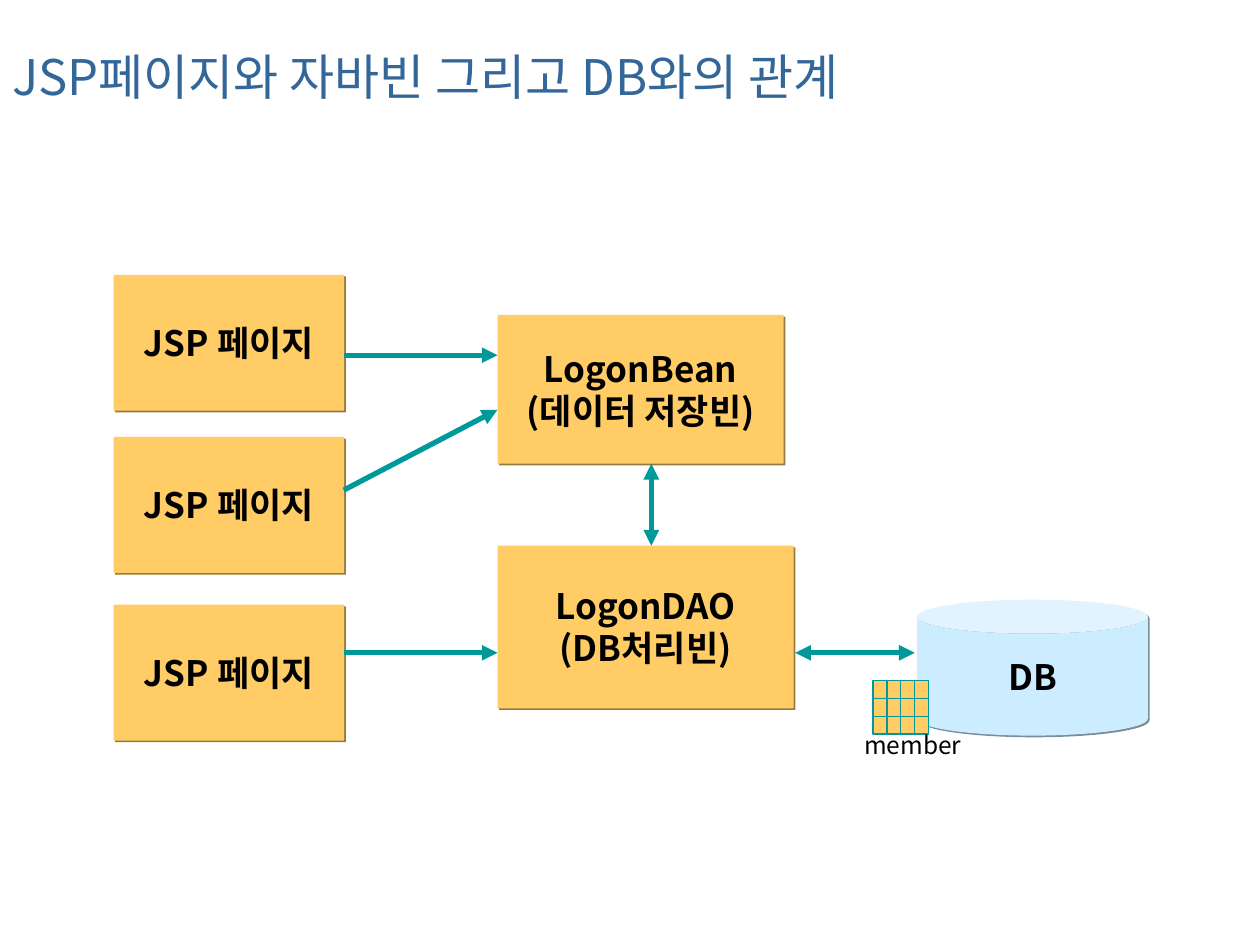
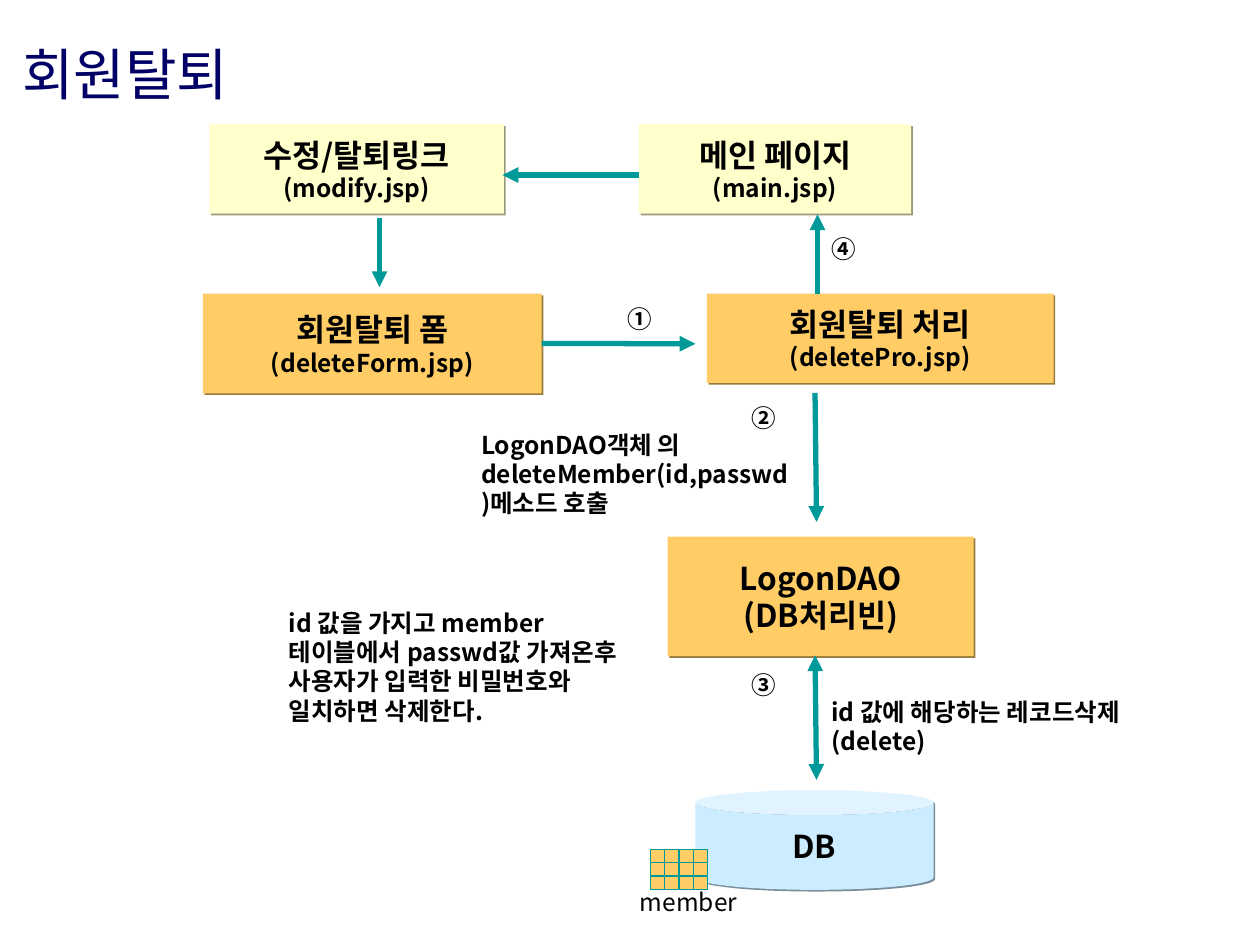
import lxml.etree
import pptx
import pptx.dml.color
import pptx.enum.shapes
import pptx.enum.text
import pptx.oxml.ns
import pptx.util

Cm = pptx.util.Cm
Pt = pptx.util.Pt
RGBColor = pptx.dml.color.RGBColor
SHAPE = pptx.enum.shapes.MSO_SHAPE
ANCHOR = pptx.enum.text.MSO_ANCHOR
ALIGN = pptx.enum.text.PP_ALIGN
qn = pptx.oxml.ns.qn

FONT = "Noto Sans CJK KR"
INK = RGBColor(0x01, 0x00, 0x00)
TEAL = RGBColor(0x00, 0x99, 0x99)
ORANGE = RGBColor(0xFF, 0xCC, 0x66)
CREAM = RGBColor(0xFF, 0xFF, 0xCC)
SKY = RGBColor(0xCC, 0xEC, 0xFF)
STEEL = RGBColor(0x33, 0x66, 0x99)
NAVY = RGBColor(0x00, 0x00, 0x66)


def add_text(slide, text, bounds, *, size=14, detail_size=None, color=INK, bold=True,
             outline=SHAPE.RECTANGLE, fill=None, inset=(0.25, 0.13),
             anchor=ANCHOR.TOP, before=0, spacing=1.0):
    bounds = [Cm(length) for length in bounds]
    if fill is None:
        holder = slide.shapes.add_textbox(*bounds)
    else:
        holder = slide.shapes.add_shape(outline, *bounds)
        holder.fill.solid()
        holder.fill.fore_color.rgb = fill
        holder.line.fill.background()
        holder.shadow.inherit = False
        effects = holder._element.spPr.find(qn("a:effectLst"))
        shadow = lxml.etree.SubElement(effects, qn("a:outerShdw"), blurRad="0",
                                       dist=str(Pt(1.4)), dir="2700000", algn="ctr", rotWithShape="0")
        shade = RGBColor(*(round(channel * 0.6) for channel in fill))
        lxml.etree.SubElement(shadow, qn("a:srgbClr"), val=str(shade))
        anchor = ANCHOR.MIDDLE
    frame = holder.text_frame
    frame.word_wrap = fill is None
    frame.vertical_anchor = anchor
    frame.margin_left = frame.margin_right = Cm(inset[0])
    frame.margin_top = frame.margin_bottom = Cm(inset[1])
    frame.text = text
    for row, paragraph in enumerate(frame.paragraphs):
        paragraph.alignment = ALIGN.LEFT if fill is None else ALIGN.CENTER
        paragraph.space_before = Pt(before)
        paragraph.line_spacing = spacing
        font = paragraph.runs[0].font
        font.name = FONT
        font.size = Pt(detail_size if row and detail_size else size)
        font.bold = bold
        font.color.rgb = color
        lxml.etree.SubElement(font._element, qn("a:ea"), typeface=FONT)
    return holder


def add_arrow(slide, start, end, both_ways=False):
    arrow = slide.shapes.add_connector(pptx.enum.shapes.MSO_CONNECTOR.STRAIGHT,
                                       *(Cm(length) for length in start + end))
    arrow.line.color.rgb = TEAL
    arrow.line.width = Pt(3)
    stroke = arrow.line._get_or_add_ln()
    if both_ways:
        lxml.etree.SubElement(stroke, qn("a:headEnd"), type="triangle")
    lxml.etree.SubElement(stroke, qn("a:tailEnd"), type="triangle")
    lxml.etree.SubElement(arrow._element.spPr, qn("a:effectLst"))
    return arrow


deck = pptx.Presentation()
deck.slide_width = Cm(25.4)
deck.slide_height = Cm(19.05)
blank = deck.slide_layouts[6]
relations = deck.slides.add_slide(blank)
withdrawal = deck.slides.add_slide(blank)

for slide, title, bounds, size, color in (
    (relations, "JSP페이지와 자바빈 그리고 DB와의 관계", (0, 0.53, 20.29, 2.29), 28, STEEL),
    (withdrawal, "회원탈퇴", (0.2, 0.15, 10.44, 2.97), 32, NAVY),
):
    add_text(slide, title, bounds, size=size, color=color, bold=False,
             anchor=ANCHOR.MIDDLE, spacing=0.7)

for top in (5.54, 8.81, 12.19):
    add_text(relations, "JSP 페이지", (2.29, top, 4.65, 2.74), size=20, fill=ORANGE)
add_text(relations, "LogonBean\n(데이터 저장빈)", (10.03, 6.35, 5.77, 3), size=20, fill=ORANGE)
add_text(relations, "LogonDAO\n(DB처리빈)", (10.03, 11, 5.97, 3.28), size=20, fill=ORANGE)

delete_form = add_text(withdrawal, "회원탈퇴 폼\n(deleteForm.jsp)", (4.09, 5.92, 6.83, 2.01),
                       size=18, detail_size=14, fill=ORANGE)
for text, bounds, detail_size, fill in (
    ("회원탈퇴 처리\n(deletePro.jsp)", (14.25, 5.92, 6.99, 1.8), 14, ORANGE),
    ("LogonDAO\n(DB처리빈)", (13.46, 10.82, 6.17, 2.41), 18, ORANGE),
    ("수정/탈퇴링크\n(modify.jsp)", (4.22, 2.51, 5.94, 1.8), 14, CREAM),
    ("메인 페이지\n(main.jsp)", (12.88, 2.51, 5.49, 1.8), 14, CREAM),
):
    add_text(withdrawal, text, bounds, size=18, detail_size=detail_size, fill=fill)

for slide, start, end, both_ways in (
    (relations, (6.93, 7.16), (10.03, 7.16), False),
    (relations, (6.93, 9.88), (10.03, 8.26), False),
    (relations, (6.93, 13.16), (10.03, 13.16), False),
    (relations, (16.03, 13.16), (18.44, 13.16), True),
    (relations, (13.13, 11), (13.13, 9.35), True),
    (withdrawal, (16.43, 7.92), (16.46, 10.52), False),
    (withdrawal, (16.46, 15.72), (16.43, 13.21), True),
    (withdrawal, (12.88, 3.53), (10.13, 3.53), False),
    (withdrawal, (7.65, 4.39), (7.65, 5.79), False),
    (withdrawal, (16.48, 5.92), (16.48, 4.32), False),
):
    add_arrow(slide, start, end, both_ways)
submit = add_arrow(withdrawal, (10.92, 6.93), (14.02, 6.93))
submit.begin_connect(delete_form, 3)

for text, bounds, inset in (
    ("LogonDAO객체 의 deleteMember(id,passwd)메소드 호출", (9.45, 8.53, 6.86, 2.03), (0.25, 0.13)),
    ("id 값을 가지고 member 테이블에서 passwd값 가져온후 사용자가 입력한 비밀번호와 일치하면 삭제한다.",
     (5.82, 12.12, 7.54, 2.64), (0, 0.13)),
    ("id 값에 해당하는 레코드삭제(delete)", (16.76, 13.92, 7.54, 1.45), (0, 0.13)),
    ("①", (12.65, 6.12, 0.69, 0.58), (0, 0)),
    ("②", (15.16, 8.13, 0.69, 0.58), (0, 0)),
    ("③", (15.16, 13.51, 0.69, 0.58), (0, 0)),
    ("④", (16.76, 4.72, 0.69, 0.58), (0, 0)),
):
    add_text(withdrawal, text, bounds, inset=inset, before=8.8)

for slide, size, database, grid, cell, caption in (
    (relations, 20, (18.49, 12.09, 4.65, 2.74), (17.6, 13.72), (0.28, 0.36), (17.17, 14.58, 2.87, 0.86)),
    (withdrawal, 18, (14.02, 15.93, 4.8, 2.01), (13.11, 17.12), (0.29, 0.27), (12.65, 17.75, 2.97, 0.86)),
):
    add_text(slide, "DB", database, size=size, outline=SHAPE.CAN, fill=SKY)
    for row in range(3):
        for column in range(4):
            field = slide.shapes.add_shape(
                SHAPE.RECTANGLE, Cm(grid[0] + column * cell[0]), Cm(grid[1] + row * cell[1]),
                Cm(cell[0]), Cm(cell[1]))
            field.shadow.inherit = False
            field.fill.solid()
            field.fill.fore_color.rgb = ORANGE
            field.line.color.rgb = TEAL
            field.line.width = Pt(0.75)
    add_text(slide, "member", caption, bold=False, before=8.8)

deck.save("out.pptx")
